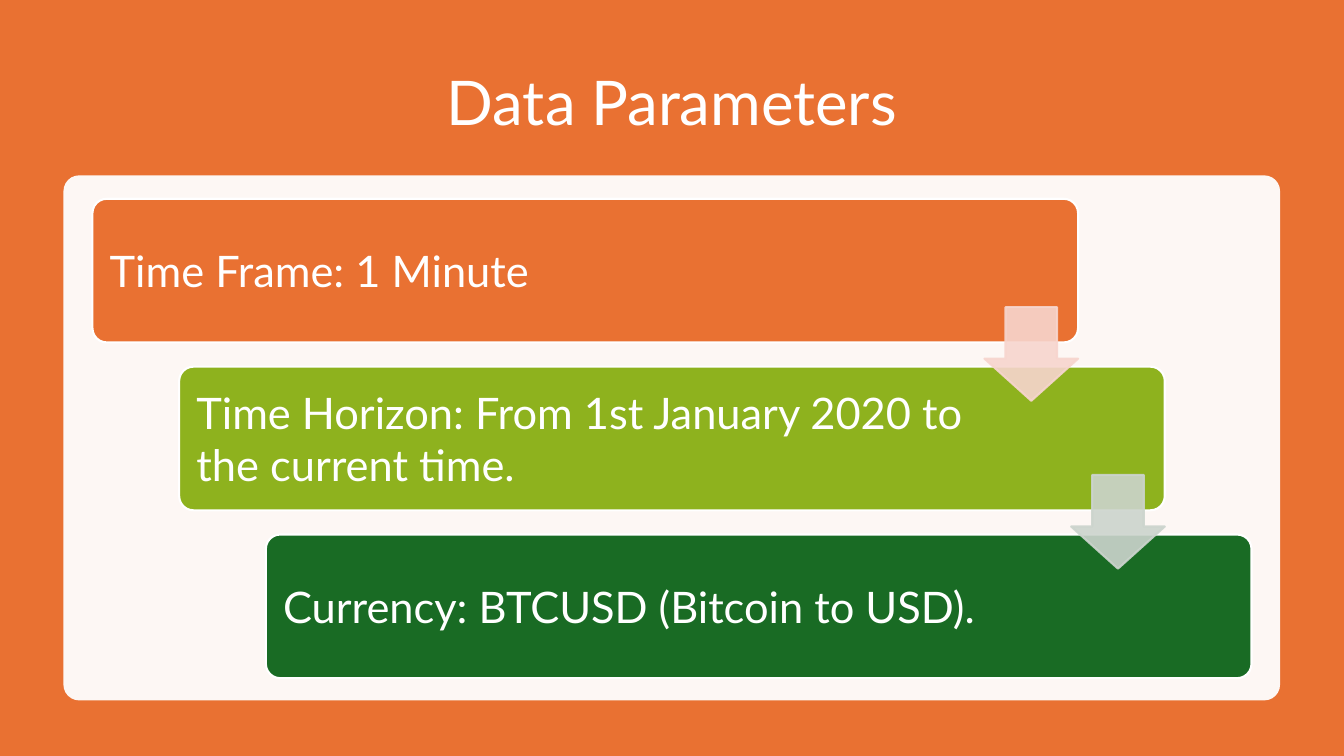
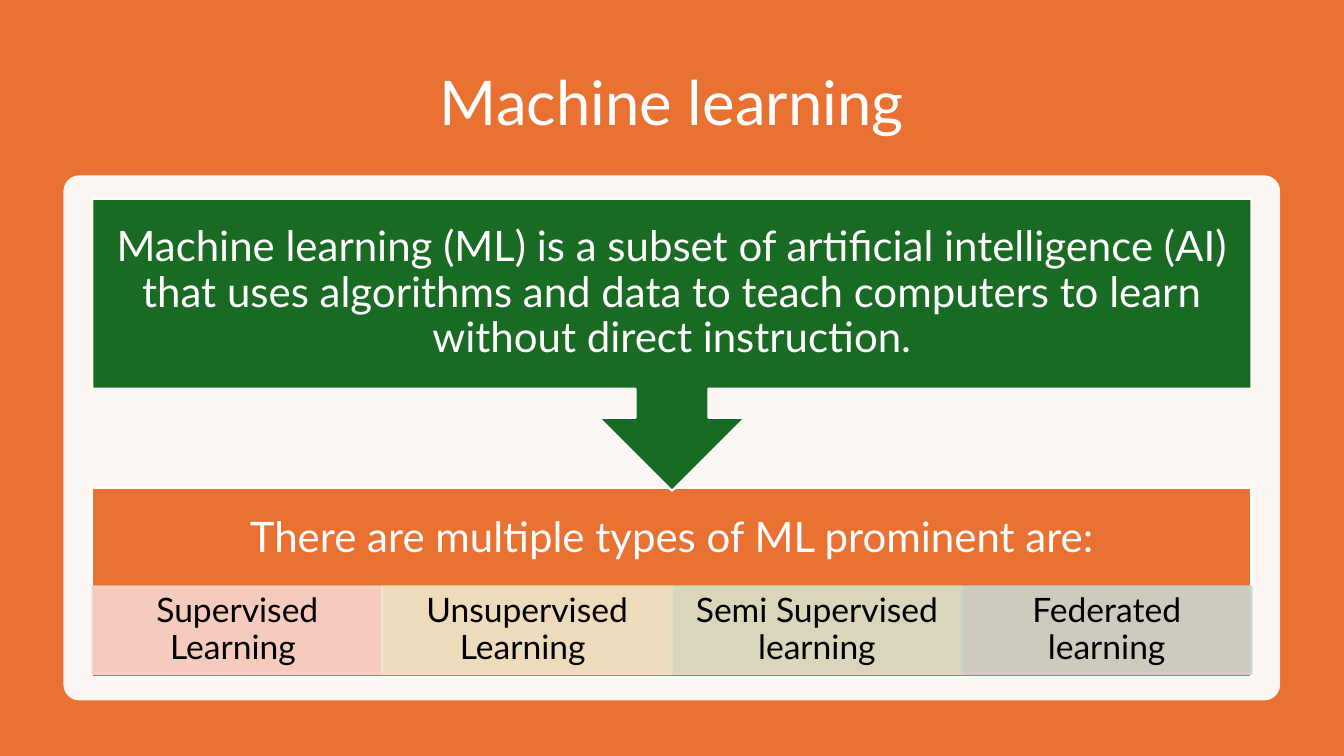
from dataclasses import dataclass

from lxml import etree
from pptx import Presentation
from pptx.dml.color import RGBColor
from pptx.enum import shapes, text
from pptx.oxml import ns
from pptx.util import Cm, Pt

STEPS = [
    ("Time Frame: 1 Minute", "E97132"),
    ("Time Horizon: From 1st January 2020 to the current time.", "8EB21E"),
    ("Currency: BTCUSD (Bitcoin to USD).", "196B24"),
]
STEP_ARROWS = ["F7D5CE", "CCD4CD"]
DEFINITION = (
    "Machine learning (ML) is a subset of artificial intelligence (AI) that uses "
    "algorithms and data to teach computers to learn without direct instruction."
)
TYPES_HEADING = "There are multiple types of ML prominent are:"
TYPES = [
    ("Supervised Learning ", "F7D5CE"),
    ("Unsupervised Learning ", "EEE7CB"),
    ("Semi Supervised learning", "D8E2CA"),
    ("Federated learning", "CCD4CD"),
]


@dataclass(frozen=True)
class Theme:
    font: str = "Lato"
    orange: str = "E97132"
    green: str = "196B24"
    white: str = "FFFFFF"
    black: str = "000000"
    title: float = 44
    step: float = 31
    body: float = 30
    label: float = 24
    line: float = 1.5


T = Theme()
KIND = shapes.MSO_SHAPE
ALIGN = text.PP_ALIGN
LEFT, TOP, WIDTH = 2.33, 5.01, 29.21


def write(tf, words, size, color, align=ALIGN.CENTER, spacing=0.9):
    tf.word_wrap = True
    tf.vertical_anchor = text.MSO_ANCHOR.MIDDLE
    p = tf.paragraphs[0]
    p.text = words
    p.alignment = align
    p.line_spacing = spacing
    p.font.name = T.font
    p.font.size = Pt(size)
    p.font.color.rgb = RGBColor.from_string(color)


def inset(tf, left, top, right, bottom):
    tf.margin_left, tf.margin_top = Cm(left), Cm(top)
    tf.margin_right, tf.margin_bottom = Cm(right), Cm(bottom)


def add_shape(s, kind, box, fill, line=None, adj=(), opacity=100):
    sp = s.shapes.add_shape(kind, *map(Cm, box))
    sp.shadow.inherit = False
    sp.fill.solid()
    sp.fill.fore_color.rgb = RGBColor.from_string(fill)
    if line:
        sp.line.color.rgb = RGBColor.from_string(line)
        sp.line.width = Pt(T.line)
    else:
        sp.line.fill.background()
    for i, value in enumerate(adj):
        sp.adjustments[i] = value
    if opacity < 100:
        for color in list(sp.element.spPr.iter(ns.qn("a:srgbClr"))):
            etree.SubElement(color, ns.qn("a:alpha"), val=str(opacity * 1000))
    return sp


def add_slide(prs, title):
    s = prs.slides.add_slide(prs.slide_layouts[5])
    sp = s.shapes.title
    sp.left, sp.top, sp.width, sp.height = map(Cm, (LEFT, 1.27, WIDTH, 2.79))
    write(sp.text_frame, title, T.title, T.white)
    add_shape(s, KIND.ROUNDED_RECTANGLE, (1.6, 4.42, 30.66, 13.23), T.white,
              adj=[0.03], opacity=95)
    return s


def build_parameters(prs):
    s = add_slide(prs, "Data Parameters")
    width, height, arrow = 24.84, 3.62, 2.36
    dx, dy = (WIDTH - width) / (len(STEPS) - 1), 4.23
    for i, (words, color) in enumerate(STEPS):
        sp = add_shape(s, KIND.ROUNDED_RECTANGLE,
                       (LEFT + i * dx, TOP + i * dy, width, height),
                       color, T.white, [0.1])
        inset(sp.text_frame, 0.33, 0.44, 4.6, 0.44)
        write(sp.text_frame, words, T.step, T.white, ALIGN.LEFT, 1.0)
    for i, color in enumerate(STEP_ARROWS):
        add_shape(s, KIND.DOWN_ARROW,
                  (LEFT + i * dx + width - arrow, TOP + i * dy + 2.73, arrow, arrow),
                  color, color, [0.55, 0.45], 90)


def build_learning(prs):
    s = add_slide(prs, "Machine learning")
    sp = add_shape(s, KIND.RECTANGLE, (LEFT, 12.29, WIDTH, 4.78), T.orange, T.white)
    inset(sp.text_frame, 0.58, 0.58, 0.58, 2.77)
    write(sp.text_frame, TYPES_HEADING, T.body, T.white)
    width = WIDTH / len(TYPES)
    for i, (words, color) in enumerate(TYPES):
        sp = add_shape(s, KIND.RECTANGLE, (LEFT + i * width, 14.78, width, 2.2),
                       color, color, opacity=90)
        inset(sp.text_frame, 0.48, 0.08, 0.48, 0.08)
        write(sp.text_frame, words, T.label, T.black)
    sp = add_shape(s, KIND.DOWN_ARROW_CALLOUT, (LEFT, TOP, WIDTH, 7.36),
                   T.green, T.white)
    inset(sp.text_frame, 0.58, 0.58, 0.58, 0.58)
    write(sp.text_frame, DEFINITION, T.body, T.white)


def main():
    prs = Presentation()
    prs.slide_width, prs.slide_height = Cm(33.87), Cm(19.05)
    background = prs.slide_master.background.fill
    background.solid()
    background.fore_color.rgb = RGBColor.from_string(T.orange)
    build_parameters(prs)
    build_learning(prs)
    prs.save("out.pptx")


if __name__ == "__main__":
    main()
